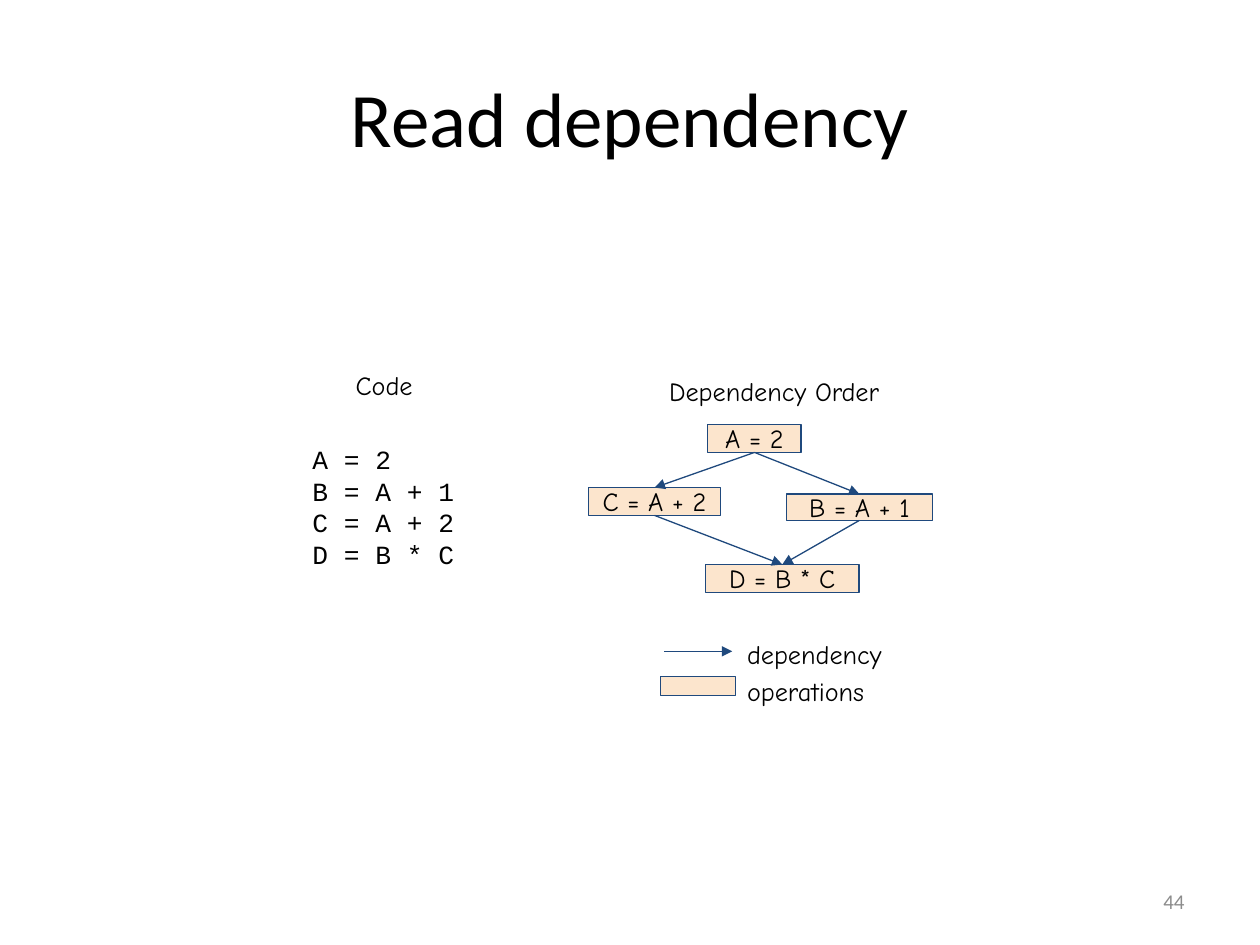
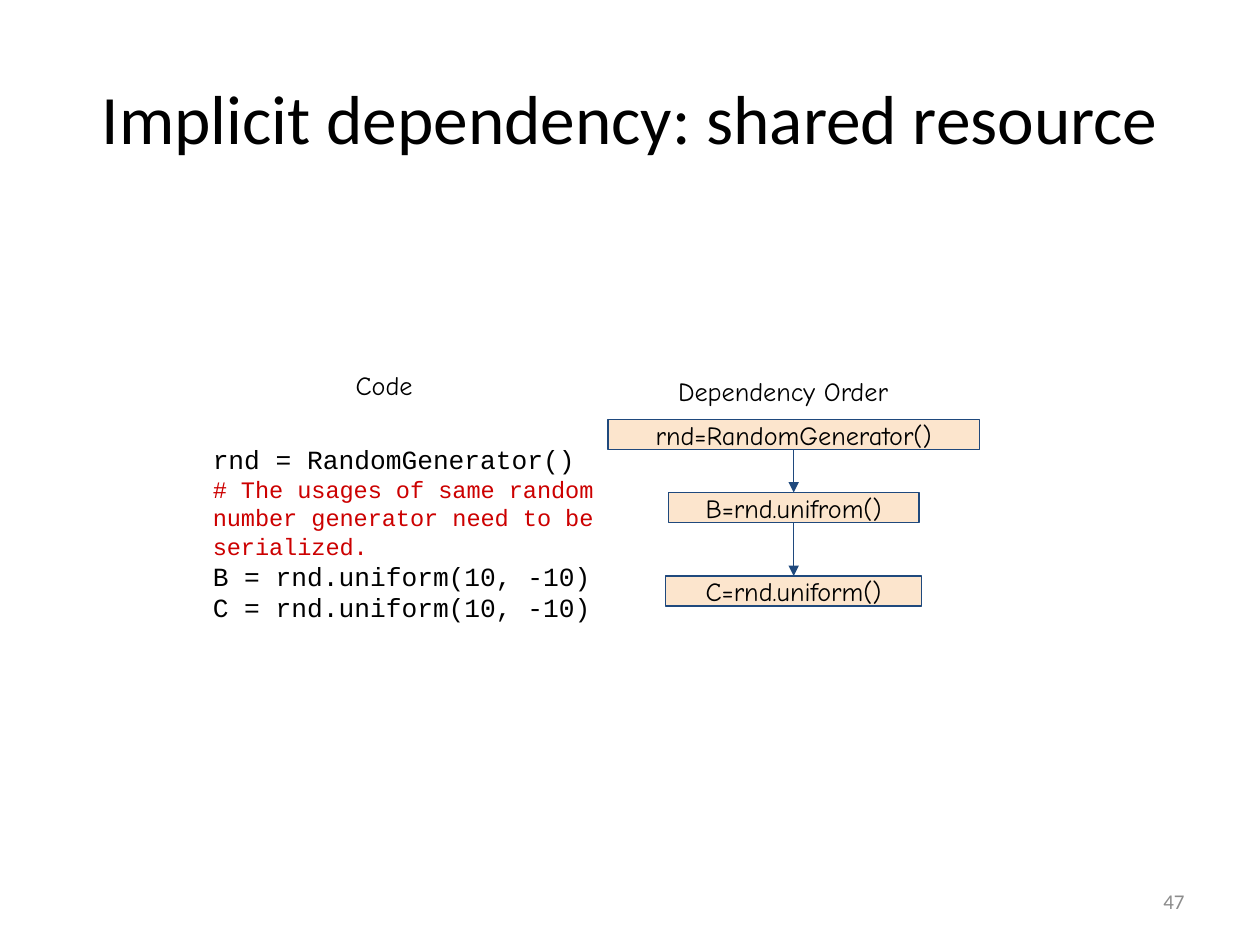
from lxml import etree
from pptx import Presentation
from pptx import util as u
from pptx.dml.color import RGBColor
from pptx.enum import shapes, text
from pptx.oxml.ns import qn

COLORS = {
    "ink": "000000",
    "edge": "1F497D",
    "node": "FCE5CD",
    "note": "CC0000",
    "page": "8C8C8C",
}
HEAD, HAND, CODE = "Calibri", "Comic Neue", "Courier New"
INSET = 0.18
TOP, BOTTOM = 0, 2  # connection sites of a rectangle
LEFT, MID, RIGHT = text.PP_ALIGN.LEFT, text.PP_ALIGN.CENTER, text.PP_ALIGN.RIGHT


def rgb(name):
    return RGBColor.from_string(COLORS[name])


def cm(box):
    return [u.Cm(n) for n in box]


def style(para, font, size, color="ink", align=LEFT):
    para.alignment = align
    for run in para.runs:
        run.font.name = font
        run.font.size = u.Pt(size)
        run.font.color.rgb = rgb(color)


def fit(frame, inset=INSET, anchor=text.MSO_ANCHOR.TOP):
    """Set wrapping, margins and anchor of a text frame."""
    frame.word_wrap = True
    frame.auto_size = text.MSO_AUTO_SIZE.NONE
    frame.vertical_anchor = anchor
    frame.margin_left = frame.margin_right = u.Cm(inset)
    frame.margin_top = frame.margin_bottom = u.Cm(inset)


def label(slide, words, box, spacing=1.2):
    frame = slide.shapes.add_textbox(*cm(box)).text_frame
    fit(frame)
    frame.text = words
    frame.paragraphs[0].line_spacing = spacing
    style(frame.paragraphs[0], HAND, 15)


def code(slide, lines, box):
    frame = slide.shapes.add_textbox(*cm(box)).text_frame
    fit(frame)
    frame.text = "\n".join(lines)
    for para in frame.paragraphs:
        if para.text.startswith("#"):
            style(para, CODE, 13.5, "note")
        else:
            style(para, CODE, 15)


def node(slide, words, box):
    """Add an operation box, empty if there are no words."""
    rect = slide.shapes.add_shape(shapes.MSO_SHAPE.RECTANGLE, *cm(box))
    rect.shadow.inherit = False
    rect.fill.solid()
    rect.fill.fore_color.rgb = rgb("node")
    rect.line.color.rgb = rgb("edge")
    rect.line.width = u.Pt(0.75)
    if words:
        fit(rect.text_frame, anchor=text.MSO_ANCHOR.MIDDLE)
        rect.text_frame.text = words
        style(rect.text_frame.paragraphs[0], HAND, 15, align=MID)
    return rect


def arrow(slide, ends=(0, 0, 0, 0)):
    line = slide.shapes.add_connector(shapes.MSO_CONNECTOR.STRAIGHT, *cm(ends))
    line.line.color.rgb = rgb("edge")
    line.line.width = u.Pt(0.75)
    tip = etree.SubElement(line.line._get_or_add_ln(), qn("a:tailEnd"))
    tip.set("type", "triangle")
    etree.SubElement(line._element.spPr, qn("a:effectLst"))
    return line


def link(slide, start, end):
    """Draw an arrow from the bottom of one node to the top of another."""
    line = arrow(slide)
    line.begin_connect(start, BOTTOM)
    line.end_connect(end, TOP)


def start(deck, title, size, page):
    """Add a slide with title, page number and the code heading."""
    slide = deck.slides.add_slide(deck.slide_layouts[5])
    head = slide.shapes.title
    head.left, head.top, head.width, head.height = cm((1.27, 0.76, 22.86, 3.18))
    fit(head.text_frame, 0.25, text.MSO_ANCHOR.MIDDLE)
    head.text_frame.text = title
    style(head.text_frame.paragraphs[0], HEAD, size, align=MID)

    foot = slide.shapes.add_textbox(*cm((18.21, 17.65, 5.92, 1.02))).text_frame
    fit(foot, 0.25, text.MSO_ANCHOR.MIDDLE)
    foot.text = page
    style(foot.paragraphs[0], HEAD, 12, "page", RIGHT)

    label(slide, "Code", (6.99, 7.26, 2.72, 0.81), spacing=1)
    return slide


def read(deck):
    slide = start(deck, "Read dependency", 44, "44")
    label(slide, "Dependency Order", (13.31, 7.26, 5.49, 0.76))
    code(slide, ["A = 2", "B = A + 1", "C = A + 2", "D = B * C"],
         (6.12, 8.76, 3.73, 2.13))

    a = node(slide, "A = 2", (14.27, 8.56, 1.88, 0.56))
    b = node(slide, "B = A + 1", (15.85, 9.96, 2.95, 0.53))
    c = node(slide, "C = A + 2", (11.86, 9.83, 2.67, 0.56))
    d = node(slide, "D = B * C", (14.22, 11.38, 3.1, 0.56))
    for pair in ((a, b), (a, c), (b, d), (c, d)):
        link(slide, *pair)

    arrow(slide, (13.39, 13.13, 14.76, 13.13))
    label(slide, "dependency", (14.88, 12.57, 4.11, 0.76))
    node(slide, "", (13.31, 13.64, 1.52, 0.38))
    label(slide, "operations", (14.88, 13.41, 3.66, 0.15))


def shared(deck):
    slide = start(deck, "Implicit dependency: shared resource", 39.6, "47")
    label(slide, "Dependency Order", (13.49, 7.26, 6.25, 0.71))
    code(slide, [
        "rnd = RandomGenerator()",
        "# The usages of same random number generator need to be serialized.",
        "B = rnd.uniform(10, -10)",
        "C = rnd.uniform(10, -10)",
    ], (4.11, 8.76, 8.36, 5.11))

    axis = 16
    steps = (
        ("rnd=RandomGenerator()", 8.46, 7.49),
        ("B=rnd.unifrom()", 9.93, 5.05),
        ("C=rnd.uniform()", 11.61, 5.16),
    )
    chain = [node(slide, words, (axis - wide / 2, top, wide, 0.61))
             for words, top, wide in steps]
    for pair in zip(chain, chain[1:]):
        link(slide, *pair)


def main():
    deck = Presentation()
    deck.slide_width, deck.slide_height = cm((25.4, 19.05))
    read(deck)
    shared(deck)
    deck.save("out.pptx")


if __name__ == "__main__":
    main()
